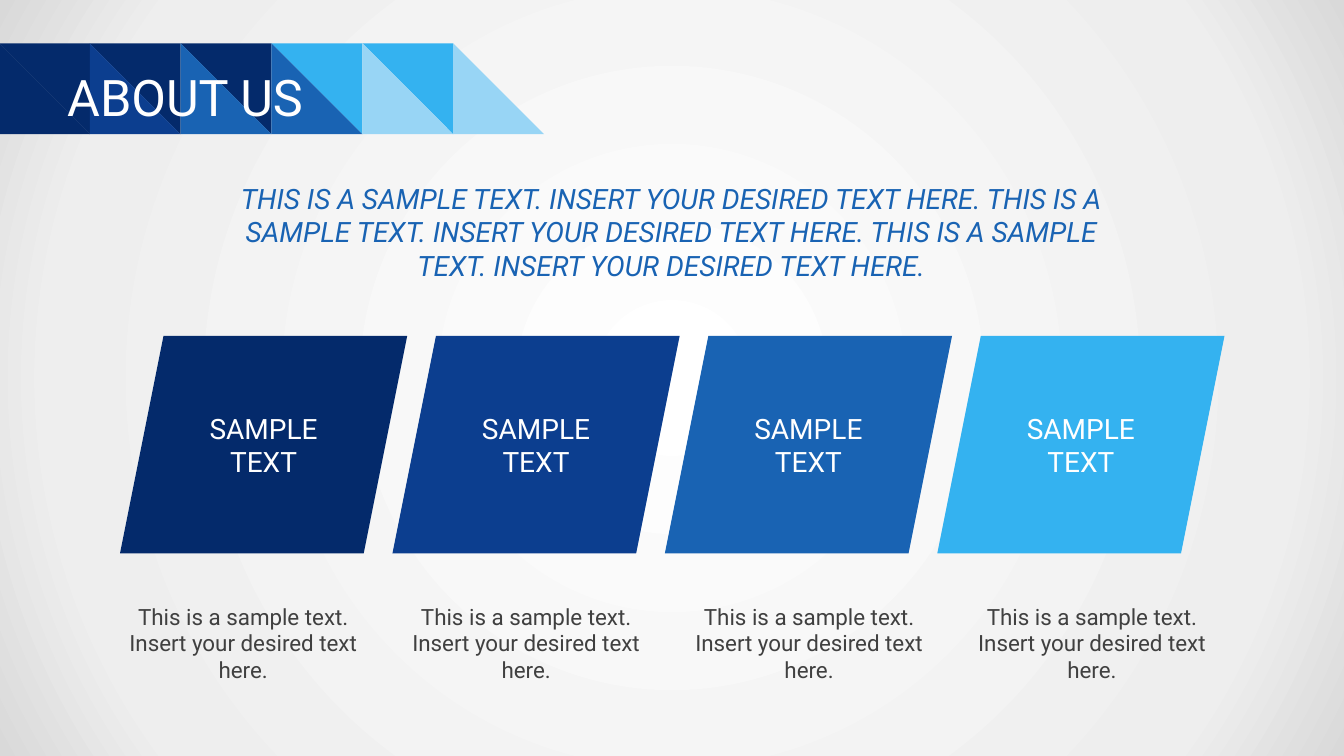
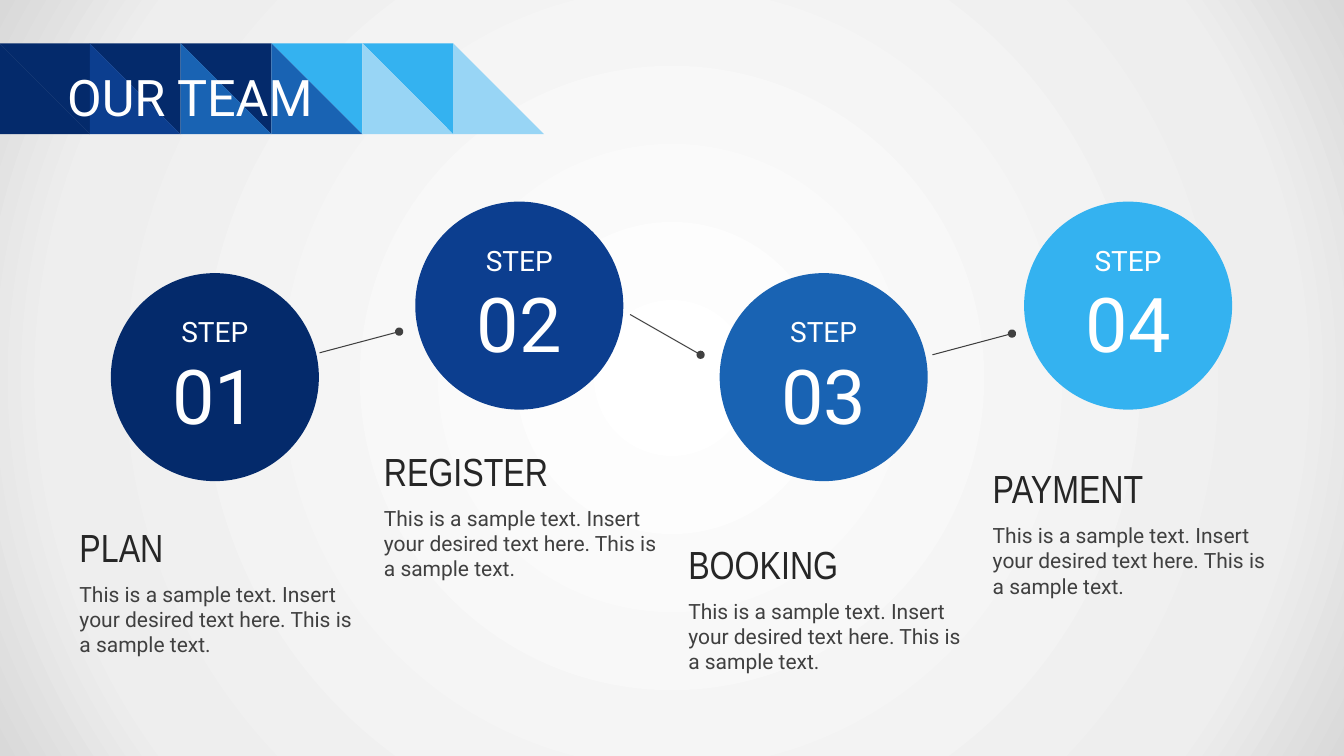
from lxml import etree
from pptx import Presentation
from pptx.dml.color import RGBColor
from pptx.enum.shapes import MSO_CONNECTOR, MSO_SHAPE
from pptx.enum.text import MSO_ANCHOR, PP_ALIGN
from pptx.oxml import parse_xml
from pptx.oxml.ns import nsdecls, qn
from pptx.util import Inches, Pt

STRAIGHT = MSO_CONNECTOR.STRAIGHT
ELLIPSE, PARALLELOGRAM = MSO_SHAPE.OVAL, MSO_SHAPE.PARALLELOGRAM
TOP, MIDDLE = MSO_ANCHOR.TOP, MSO_ANCHOR.MIDDLE
LEFT, CENTER = PP_ALIGN.LEFT, PP_ALIGN.CENTER

WIDTH, HEIGHT = Inches(13.333), Inches(7.5)

# Colours and fonts
NAVY = RGBColor(0x04, 0x2A, 0x6B)
ROYAL = RGBColor(0x0C, 0x3E, 0x8F)
BLUE = RGBColor(0x19, 0x63, 0xB3)
SKY = RGBColor(0x34, 0xB2, 0xF0)
PALE = RGBColor(0x98, 0xD5, 0xF5)
WHITE = RGBColor(0xFF, 0xFF, 0xFF)
INK = RGBColor(0x26, 0x26, 0x26)
GREY = RGBColor(0x40, 0x40, 0x40)
MAIN_FONT, HEADING_FONT = "Roboto", "Arial Narrow"

SERIES = [NAVY, ROYAL, BLUE, SKY]
BAND_UPPER = [NAVY, NAVY, NAVY, SKY, SKY]
BAND_LOWER = [NAVY, ROYAL, BLUE, BLUE, PALE, PALE]
BACKDROP = [(0, "FFFFFF"), (81, "EEEEEE"), (100, "D9D9D9")]

# Content
SENTENCE = "This is a sample text. Insert your desired text here."
INTRO = " ".join([SENTENCE.upper()] * 3)
STEP_TEXT = SENTENCE + " This is a sample text."
# Heading, top of circle, top of heading
STEPS = [
    ("PLAN", 36.13, 68.53),
    ("REGISTER", 26.67, 58.53),
    ("BOOKING", 36.13, 70.8),
    ("PAYMENT", 26.67, 60.8),
]
LINKS = [
    ((23.78, 46.67), (29.7, 43.87)),
    ((46.88, 41.6), (52.13, 46.93)),
    ((69.38, 46.93), (75.3, 44.13)),
]


def across(percent):
    """Share of the slide's width."""
    return round(WIDTH * percent / 100)


def down(percent):
    """Share of the slide's height."""
    return round(HEIGHT * percent / 100)


def area(left, top, width, height):
    return across(left), down(top), across(width), down(height)


def write(shape, lines, color, align=LEFT, anchor=TOP, font=MAIN_FONT, italic=False):
    """Fill a shape with paragraphs given as (text, size)."""
    frame = shape.text_frame
    frame.word_wrap = True
    frame.vertical_anchor = anchor
    frame.text = "\n".join(text for text, size in lines)
    for para, (text, size) in zip(frame.paragraphs, lines):
        para.alignment = align
        for span in para.runs:
            span.font.name = font
            span.font.size = Pt(size)
            span.font.color.rgb = color
            span.font.italic = italic
    return frame


def add_text(page, place, text, size, color, **style):
    box = page.shapes.add_textbox(*place)
    return write(box, [(text, size)], color, **style)


def paint(shape, color):
    shape.shadow.inherit = False
    shape.fill.solid()
    shape.fill.fore_color.rgb = color
    shape.line.fill.background()


def add_panel(page, kind, place, color, lines):
    panel = page.shapes.add_shape(kind, *place)
    paint(panel, color)
    write(panel, lines, WHITE, align=CENTER, anchor=MIDDLE)
    return panel


def add_triangle(page, points, color):
    builder = page.shapes.build_freeform(*points[0])
    builder.add_line_segments(points[1:], close=True)
    paint(builder.convert_to_shape(), color)


def add_link(page, start, end):
    """Thin line that ends in a dot."""
    link = page.shapes.add_connector(
        STRAIGHT, across(start[0]), down(start[1]), across(end[0]), down(end[1]))
    link.line.color.rgb = GREY
    link.line.width = Pt(0.75)
    etree.SubElement(link.line._get_or_add_ln(), qn("a:tailEnd"), type="oval")
    etree.SubElement(link._element.spPr, qn("a:effectLst"))


def set_backdrop(deck):
    """Circular gradient on the master, shared by all pages."""
    master = deck.slide_master
    master.background.fill.gradient()
    stops = "".join(
        f'<a:gs pos="{position * 1000}"><a:srgbClr val="{color}"/></a:gs>'
        for position, color in BACKDROP)
    gradient = parse_xml(
        f'<a:gradFill {nsdecls("a")} rotWithShape="1"><a:gsLst>{stops}</a:gsLst>'
        '<a:path path="circle"><a:fillToRect l="50000" t="50000" r="50000" b="50000"/>'
        '</a:path></a:gradFill>')
    fill = master.element.find(".//" + qn("p:bgPr")).find(qn("a:gradFill"))
    fill.getparent().replace(fill, gradient)


def add_band(page):
    """Row of square cells, each cut along its diagonal."""
    top, bottom = down(5.73), down(17.75)

    def edge(column):
        return across(-0.08 + 6.76 * column)

    for column, color in enumerate(BAND_UPPER):
        left, right = edge(column), edge(column + 1)
        add_triangle(page, [(left, top), (right, bottom), (right, top)], color)
    for column, color in enumerate(BAND_LOWER):
        left, right = edge(column), edge(column + 1)
        add_triangle(page, [(left, top), (left, bottom), (right, bottom)], color)


def add_page(deck, title):
    page = deck.slides.add_slide(deck.slide_layouts[6])
    add_band(page)
    frame = add_text(page, area(5, 7.5, 90, 10.4), title, 36, WHITE, anchor=MIDDLE)
    frame.margin_left = frame.margin_right = 0
    return page


def add_about(deck):
    page = add_page(deck, "ABOUT US")
    add_text(page, area(16.2, 23.33, 67.5, 14.8), INTRO, 20, BLUE,
             align=CENTER, italic=True)
    for column, color in enumerate(SERIES):
        panel = add_panel(page, PARALLELOGRAM,
                          area(8.93 + 20.27 * column, 44.43, 21.37, 28.77),
                          color, [("SAMPLE", 20), ("TEXT", 20)])
        panel.adjustments[0] = 0.2
        add_text(page, area(8.1 + 21.05 * column, 79.07, 20, 12.13),
                 SENTENCE, 16, GREY, align=CENTER)


def add_team(deck):
    page = add_page(deck, "OUR TEAM")
    diameter = across(15.48)
    for column, (heading, circle_top, heading_top) in enumerate(STEPS):
        shift = 22.65 * column
        place = across(8.25 + shift), down(circle_top), diameter, diameter
        circle = add_panel(page, ELLIPSE, place, SERIES[column],
                           [("STEP", 20), (f"{column + 1:02}", 54)])
        frame = circle.text_frame
        frame.margin_left = frame.margin_right = 0
        frame.margin_top = frame.margin_bottom = 0
        add_text(page, area(5.18 + shift, heading_top, 21.75, 7.6),
                 heading, 28, INK, font=HEADING_FONT)
        add_text(page, area(5.18 + shift, heading_top + 7.67, 21.75, 11.47),
                 STEP_TEXT, 15, GREY)
    for start, end in LINKS:
        add_link(page, start, end)


def main():
    deck = Presentation()
    deck.slide_width, deck.slide_height = WIDTH, HEIGHT
    set_backdrop(deck)
    add_about(deck)
    add_team(deck)
    deck.save("out.pptx")


if __name__ == "__main__":
    main()
